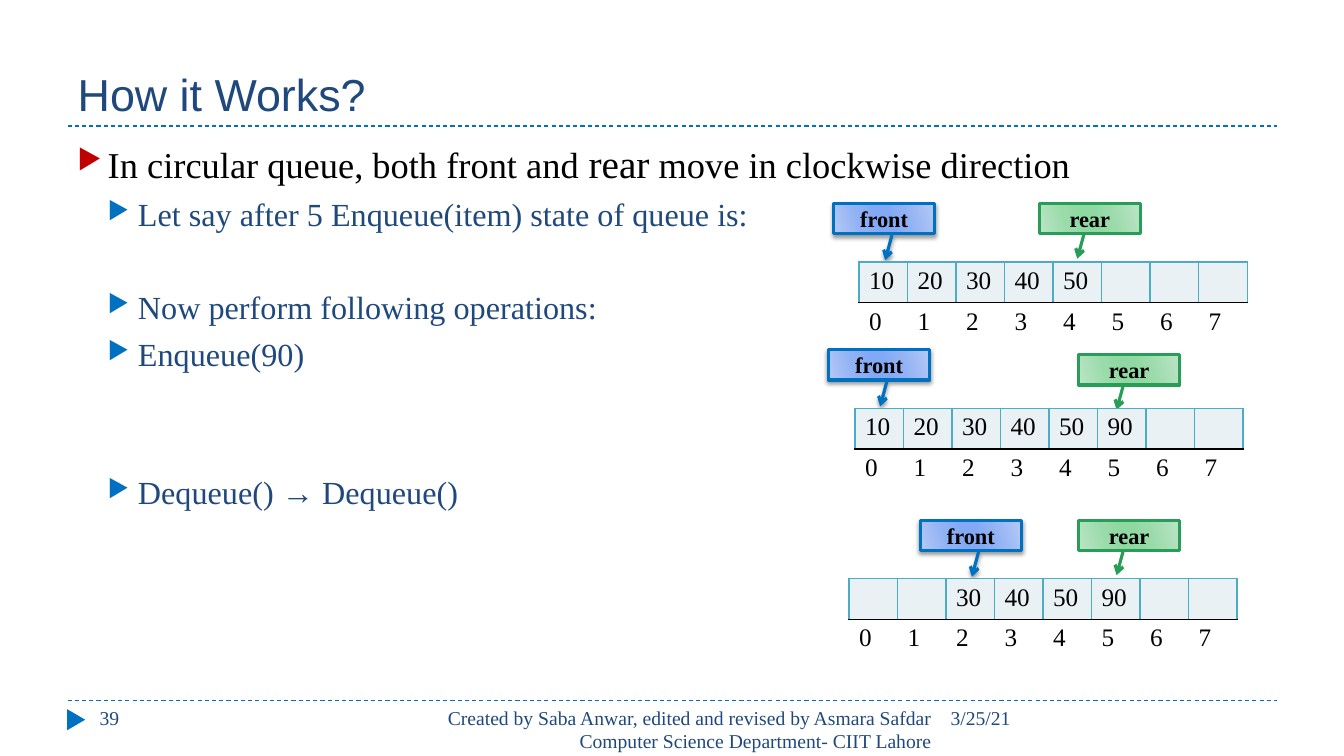
"""Build the slide on how front and rear move in a circular queue."""
from lxml import etree
from pptx import Presentation
from pptx import util as u
from pptx.dml.color import RGBColor
from pptx.enum import dml, shapes, text
from pptx.oxml import ns

NAVY, BLUE, BLACK = "1F497D", "0070C0", "000000"
SERIF = "Times New Roman"


def add_xml(parent, tag, **attrs):
    el = etree.SubElement(parent, ns.qn(tag))
    for name, value in attrs.items():
        el.set(name, str(value))
    return el


def write(p, words, size=14, color=NAVY, font=SERIF, bold=False, align=None):
    r = p.add_run()
    r.text = words
    r.font.size = u.Pt(size)
    r.font.name = font
    r.font.bold = bold
    r.font.color.rgb = RGBColor.from_string(color)
    if align is not None:
        p.alignment = align


prs = Presentation()
prs.slide_width, prs.slide_height = u.Inches(13.33), u.Inches(7.5)
s = prs.slides.add_slide(prs.slide_layouts[5])

for y in (6.95, 1.25):
    rule = s.shapes.add_connector(shapes.MSO_CONNECTOR.STRAIGHT, u.Inches(0.67), u.Inches(y),
                                  u.Inches(12.67), u.Inches(y))
    rule.line.color.rgb = RGBColor.from_string(BLUE)
    rule.line.width = u.Pt(0.75)
    rule.line.dash_style = dml.MSO_LINE.DASH
    add_xml(rule._element.spPr, "a:effectLst")

marker = s.shapes.add_shape(shapes.MSO_SHAPE.ISOSCELES_TRIANGLE, u.Inches(0.65), u.Inches(7.05),
                            u.Inches(0.21), u.Inches(0.18))
marker.rotation = 90
marker.shadow.inherit = False
marker.fill.solid()
marker.fill.fore_color.rgb = RGBColor.from_string(BLUE)
marker.line.fill.background()

title = s.shapes.title
title.left, title.top = u.Inches(0.67), u.Inches(0.17)
title.width, title.height = u.Inches(12), u.Inches(1.08)
title.text_frame.vertical_anchor = text.MSO_ANCHOR.BOTTOM
write(title.text_frame.paragraphs[0], "How it Works?", size=32, font="Arial",
      align=text.PP_ALIGN.LEFT)

footers = [
    (9.33, 3.34, "3/25/21", text.PP_ALIGN.LEFT),
    (4.23, 5.11, "Created by Saba Anwar, edited and revised by Asmara Safdar "
                 "Computer Science Department- CIIT Lahore", text.PP_ALIGN.RIGHT),
    (0.89, 2.89, "39", text.PP_ALIGN.LEFT),
]
for x, width, words, align in footers:
    box = s.shapes.add_textbox(u.Inches(x), u.Inches(6.95), u.Inches(width), u.Inches(0.4))
    box.text_frame.word_wrap = True
    write(box.text_frame.paragraphs[0], words, align=align)

body = s.shapes.add_textbox(u.Inches(0.67), u.Inches(1.33), u.Inches(12), u.Inches(5.4))
tf = body.text_frame
tf.word_wrap = True
heading = [("In circular queue, both front and ", 26), ("rear", 28),
           (" move in clockwise direction", 26)]
points = [
    (0, 0, heading),
    (1, 6, [("Let say after 5 Enqueue(item) state of queue is:", 23)]),
    (1, 39, [("Now perform following operations:", 23)]),
    (1, 6, [("Enqueue(90)", 23)]),
    (1, 71, [("Dequeue() → Dequeue()", 23)]),
]
for i, (level, gap, parts) in enumerate(points):
    p = tf.add_paragraph() if i else tf.paragraphs[0]
    p.level = level
    pPr = p._p.get_or_add_pPr()
    pPr.set("marL", str(u.Inches(0.3 * (level + 1))))
    pPr.set("indent", str(u.Inches(-0.3)))
    add_xml(add_xml(pPr, "a:buClr"), "a:srgbClr", val=BLUE if level else "C00000")
    add_xml(pPr, "a:buSzPct", val=76000)
    add_xml(pPr, "a:buChar", char="▶")
    p.space_before = u.Pt(gap)
    for words, size in parts:
        write(p, words, size=size, color=NAVY if level else BLACK)

pointers = {
    "front": (BLUE, ("B4C9F6", "90B1F4", "83A9F4"), (1.043, 0.423, 1.874, 0.49)),
    "rear": ("279D57", ("BBE4C5", "9BDBAB", "8FD8A1"), (0.994, 0.557, 1.824, 0.625)),
}
queues = [
    (8.52, 2.6, (8.27, 2.02), (10.31, 2.02), ["10", "20", "30", "40", "50", "", "", ""]),
    (8.48, 4.05, (8.22, 3.47), (10.7, 3.52), ["10", "20", "30", "40", "50", "90", "", ""]),
    (8.42, 5.74, (9.13, 5.16), (10.7, 5.16), ["", "", "30", "40", "50", "90", "", ""]),
]
for left, top, front, rear, items in queues:
    for name, (x, y) in (("front", front), ("rear", rear)):
        edge, (outer, middle, inner), adjust = pointers[name]
        sp = s.shapes.add_shape(shapes.MSO_SHAPE.LINE_CALLOUT_1, u.Inches(x), u.Inches(y),
                                u.Inches(1), u.Inches(0.3))
        spPr = sp._element.spPr
        spPr.find(ns.qn("a:xfrm")).set("flipH", "1")
        for i, value in enumerate(adjust):
            sp.adjustments[i] = value
        sp.fill.gradient()
        stops = spPr.find(".//" + ns.qn("a:gsLst"))
        for stop in list(stops):
            stops.remove(stop)
        for pos, color in zip((0, 30, 45, 55, 73, 100),
                              (outer, middle, inner, inner, middle, outer)):
            add_xml(add_xml(stops, "a:gs", pos=pos * 1000), "a:srgbClr", val=color)
        spPr.find(".//" + ns.qn("a:lin")).set("ang", str(16 * 60000))
        sp.line.color.rgb = RGBColor.from_string(edge)
        sp.line.width = u.Pt(2.25)
        add_xml(spPr.find(ns.qn("a:ln")), "a:tailEnd", type="arrow")
        sp.shadow.inherit = False
        if name == "front":
            shadow = add_xml(spPr.find(ns.qn("a:effectLst")), "a:outerShdw", blurRad=u.Pt(3),
                             dist=u.Pt(2), dir=90 * 60000, rotWithShape=0)
            add_xml(add_xml(shadow, "a:srgbClr", val=BLACK), "a:alpha", val=40000)
        sp.text_frame.vertical_anchor = text.MSO_ANCHOR.MIDDLE
        write(sp.text_frame.paragraphs[0], name, size=16, color=BLACK, bold=True,
              align=text.PP_ALIGN.CENTER)

    frame = s.shapes.add_table(2, 8, u.Inches(left), u.Inches(top), u.Inches(3.85), u.Inches(0.81))
    table = frame.table
    table.first_row = table.horz_banding = False
    table._tbl.tblPr.find(ns.qn("a:tableStyleId")).text = "{2D5ABB26-0587-4C30-8999-92F81FD0307C}"
    for col in range(8):
        for row, words in enumerate((items[col], str(col))):
            cell = table.cell(row, col)
            tcPr = cell._tc.get_or_add_tcPr()
            borders = {"T": BLACK} if row else {"L": "4BACC6", "R": "4BACC6",
                                                "T": "4BACC6", "B": BLACK}
            for side, color in borders.items():
                ln = add_xml(tcPr, "a:ln" + side, w=u.Pt(1))
                add_xml(add_xml(ln, "a:solidFill"), "a:srgbClr", val=color)
            if row:
                cell.fill.background()
            else:
                cell.fill.solid()
                cell.fill.fore_color.rgb = RGBColor.from_string("E9F1F5")
            p = cell.text_frame.paragraphs[0]
            if words:
                write(p, words, size=18, color=BLACK)
            else:
                p.font.size = u.Pt(18)

prs.save("out.pptx")
